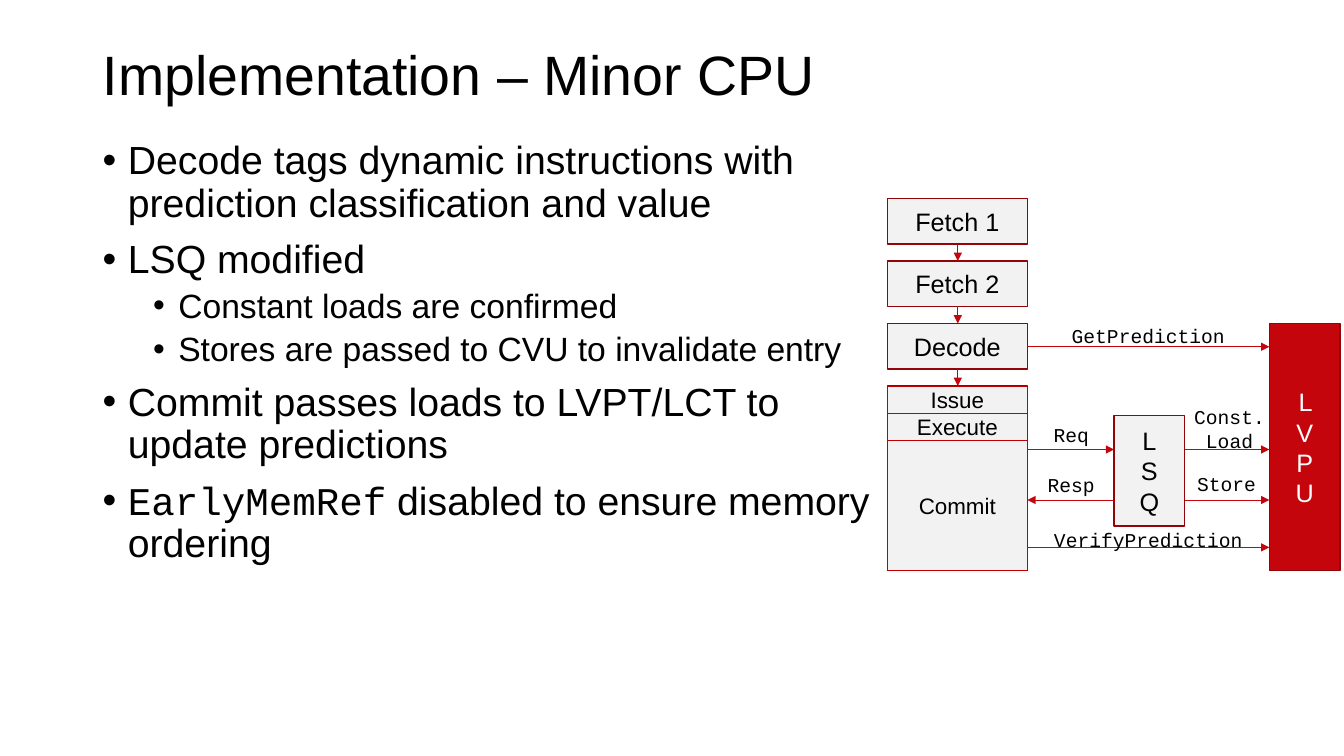
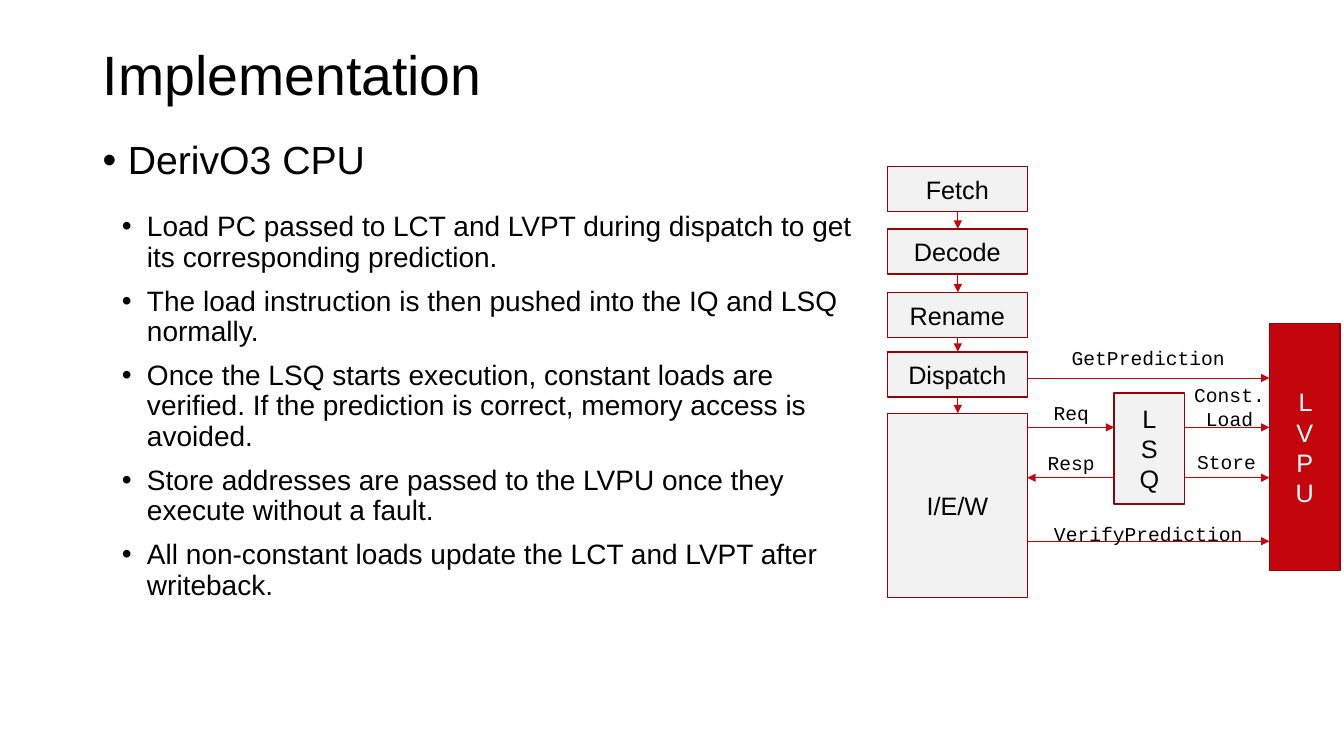
from dataclasses import dataclass
from itertools import pairwise

from lxml.etree import SubElement
from pptx import Presentation
from pptx.dml.color import RGBColor
from pptx.enum.shapes import MSO_CONNECTOR as CONN, MSO_SHAPE as SHAPE
from pptx.enum.text import MSO_ANCHOR as ANCHOR, PP_ALIGN as ALIGN
from pptx.oxml.ns import qn
from pptx.presentation import Presentation as Deck
from pptx.shapes.autoshape import Shape
from pptx.slide import Slide
from pptx.text.text import TextFrame, _Paragraph as Paragraph
from pptx.util import Emu, Pt

PX = 9144  # 100 px to the inch
SANS, MONO = "Arial", "Courier New"
BLACK, WHITE = "000000", "FFFFFF"
GREY, RED, DARK_RED, STAGE_RED = "F2F2F2", "C5050C", "920409", "C00000"

STAGE_X, STAGE_W, STAGE_H = 880, 139, 45
STAGE_RIGHT = STAGE_X + STAGE_W
LSQ_X, LSQ_H = 1105, 110
LVPU_X, LVPU_Y, LVPU_H = 1259, 321, 245
UNIT_W = 70


@dataclass(frozen=True)
class Bullet:
    text: str
    size: int = 28
    level: int = 0
    code: str = ""


@dataclass(frozen=True)
class Stage:
    name: str
    top: int
    height: int = STAGE_H


@dataclass(frozen=True)
class Links:
    """Heights of the unit and the links that reach the LVPU."""
    lsq: int
    get: int
    get_label: int
    verify: int


@dataclass(frozen=True)
class Link:
    """Arrow and label, with heights counted from the top of the LSQ."""
    text: str
    start: int
    end: int
    dy: int
    label_x: int
    label_dy: int
    label_w: int
    label_h: int = 34


LSQ_LINKS = (
    Link("Req", STAGE_RIGHT, LSQ_X, 34, 1020, 3, 85),
    Link("Resp", LSQ_X, STAGE_RIGHT, 84, 1020, 52, 85),
    Link("Const. Load", LSQ_X + UNIT_W, LVPU_X, 34, 1172, -15, 95, 57),
    Link("Store", LSQ_X + UNIT_W, LVPU_X, 84, 1169, 51, 95),
)

MINOR_BULLETS = (
    Bullet("Decode tags dynamic instructions with prediction classification and value"),
    Bullet("LSQ modified"),
    Bullet("Constant loads are confirmed", 24, 1),
    Bullet("Stores are passed to CVU to invalidate entry", 24, 1),
    Bullet("Commit passes loads to LVPT/LCT to update predictions"),
    Bullet(" disabled to ensure memory ordering", code="EarlyMemRef"),
)
MINOR_STAGES = (
    Stage("Fetch 1", 197), Stage("Fetch 2", 259), Stage("Decode", 321),
    Stage("", 383, 183),
)
MINOR_SUBSTAGES = (
    Stage("Issue", 383, 27), Stage("Execute", 410, 27), Stage("Commit", 437, 129),
)

DERIV_BULLETS = tuple(Bullet(text, 20) for text in (
    "Load PC passed to LCT and LVPT during dispatch to get its corresponding prediction.",
    "The load instruction is then pushed into the IQ and LSQ normally.",
    "Once the LSQ starts execution, constant loads are verified. "
    "If the prediction is correct, memory access is avoided.",
    "Store addresses are passed to the LVPU once they execute without a fault.",
    "All non-constant loads update the LCT and LVPT after writeback.",
))
DERIV_STAGES = (
    Stage("Fetch", 165), Stage("Decode", 227), Stage("Rename", 290),
    Stage("Dispatch", 349), Stage("I/E/W", 410, 183),
)


def px(*lengths: int) -> list[Emu]:
    return [Emu(n * PX) for n in lengths]


def rgb(color: str) -> RGBColor:
    return RGBColor.from_string(color)


def add_run(p: Paragraph, text: str, *, size: float, font: str = SANS,
            color: str = BLACK) -> None:
    r = p.add_run()
    r.text = text
    r.font.size = Pt(size)
    r.font.name = font
    r.font.color.rgb = rgb(color)


def add_text_box(s: Slide, x: int, y: int, w: int, h: int) -> TextFrame:
    tf = s.shapes.add_textbox(*px(x, y, w, h)).text_frame
    tf.word_wrap = True
    return tf


def add_label(s: Slide, text: str, x: int, y: int, w: int, h: int = 34) -> None:
    p = add_text_box(s, x, y, w, h).paragraphs[0]
    p.alignment = ALIGN.CENTER
    add_run(p, text, size=14, font=MONO)


def add_bullets(s: Slide, bullets: tuple[Bullet, ...], x: int, y: int,
                w: int, h: int) -> None:
    tf = add_text_box(s, x, y, w, h)
    for i, bullet in enumerate(bullets):
        p = tf.add_paragraph() if i else tf.paragraphs[0]
        p.level = bullet.level
        p.line_spacing = 0.9
        p.space_before = Pt(5 if bullet.level else 10)
        if bullet.code:
            add_run(p, bullet.code, size=bullet.size, font=MONO)
        add_run(p, bullet.text, size=bullet.size)
        margin, indent = px(25 + 50 * bullet.level, -25)
        pPr = p._p.get_or_add_pPr()
        pPr.set("marL", str(margin))
        pPr.set("indent", str(indent))
        SubElement(pPr, qn("a:buFont")).set("typeface", SANS)
        SubElement(pPr, qn("a:buChar")).set("char", "•")


def add_box(s: Slide, text: str, x: int, y: int, w: int, h: int, *,
            fill: str | None = GREY, line: str = DARK_RED, weight: float = 1,
            size: int = 18, color: str = BLACK) -> Shape:
    sp = s.shapes.add_shape(SHAPE.RECTANGLE, *px(x, y, w, h))
    sp.shadow.inherit = False
    if fill:
        sp.fill.solid()
        sp.fill.fore_color.rgb = rgb(fill)
    else:
        sp.fill.background()
    sp.line.color.rgb = rgb(line)
    sp.line.width = Pt(weight)
    if text:
        tf = sp.text_frame
        tf.word_wrap = True
        tf.vertical_anchor = ANCHOR.MIDDLE
        tf.margin_top = tf.margin_bottom = 0
        p = tf.paragraphs[0]
        p.alignment = ALIGN.CENTER
        add_run(p, text, size=size, color=color)
    return sp


def add_unit(s: Slide, text: str, x: int, y: int, h: int, *,
             fill: str = GREY, color: str = BLACK) -> None:
    """Box whose letters are stacked."""
    sp = add_box(s, text, x, y, UNIT_W, h, fill=fill, color=color)
    sp.element.txBody.bodyPr.set("vert", "wordArtVert")


def add_arrow(s: Slide, x1: int, y1: int, x2: int, y2: int) -> None:
    c = s.shapes.add_connector(CONN.STRAIGHT, *px(x1, y1, x2, y2))
    c.line.color.rgb = rgb(RED)
    c.line.width = Pt(0.5)
    spPr = c.element.spPr
    SubElement(spPr.find(qn("a:ln")), qn("a:tailEnd")).set("type", "triangle")
    SubElement(spPr, qn("a:effectLst"))


def add_pipeline(s: Slide, stages: tuple[Stage, ...]) -> None:
    for stage in stages:
        add_box(s, stage.name, STAGE_X, stage.top, STAGE_W, stage.height)
    for upper, lower in pairwise(stages):
        add_arrow(s, 950, upper.top + upper.height, 950, lower.top)


def add_substages(s: Slide, stages: tuple[Stage, ...]) -> None:
    for stage in stages:
        add_box(s, stage.name, STAGE_X, stage.top, STAGE_W, stage.height,
                fill=None, line=STAGE_RED, weight=0.75, size=16)


def add_prediction_units(s: Slide, links: Links) -> None:
    """LSQ and LVPU with all their links."""
    add_unit(s, "LVPU", LVPU_X, LVPU_Y, LVPU_H, fill=RED, color=WHITE)
    add_unit(s, "LSQ", LSQ_X, links.lsq, LSQ_H)
    for link in LSQ_LINKS:
        y = links.lsq + link.dy
        add_arrow(s, link.start, y, link.end, y)
        add_label(s, link.text, link.label_x, links.lsq + link.label_dy,
                  link.label_w, link.label_h)
    for text, y, label_y in (("GetPrediction", links.get, links.get_label),
                             ("VerifyPrediction", links.verify, links.verify - 24)):
        add_arrow(s, STAGE_RIGHT, y, LVPU_X, y)
        add_label(s, text, STAGE_RIGHT, label_y, LVPU_X - STAGE_RIGHT)


def add_titled_slide(prs: Deck, title: str) -> Slide:
    s = prs.slides.add_slide(prs.slide_layouts.get_by_name("Title Only"))
    sp = s.shapes.title
    sp.left, sp.top, sp.width, sp.height = px(92, 40, 1150, 73)
    tf = sp.text_frame
    tf.vertical_anchor = ANCHOR.MIDDLE
    p = tf.paragraphs[0]
    p.alignment = ALIGN.LEFT
    p.line_spacing = 0.9
    add_run(p, title, size=39.6)
    return s


def add_minor_slide(prs: Deck) -> None:
    s = add_titled_slide(prs, "Implementation – Minor CPU")
    add_bullets(s, MINOR_BULLETS, 92, 135, 781, 539)
    add_pipeline(s, MINOR_STAGES)
    add_substages(s, MINOR_SUBSTAGES)
    add_prediction_units(s, Links(lsq=412, get=344, get_label=316, verify=543))


def add_deriv_slide(prs: Deck) -> None:
    s = add_titled_slide(prs, "Implementation")
    add_bullets(s, (Bullet("DerivO3 CPU"),), 92, 135, 1150, 539)
    add_pipeline(s, DERIV_STAGES)
    add_prediction_units(s, Links(lsq=390, get=375, get_label=338, verify=537))
    add_bullets(s, DERIV_BULLETS, 111, 206, 770, 393)


def main() -> None:
    prs = Presentation()
    prs.slide_width, prs.slide_height = px(1333, 750)
    add_minor_slide(prs)
    add_deriv_slide(prs)
    prs.save("out.pptx")


if __name__ == "__main__":
    main()
